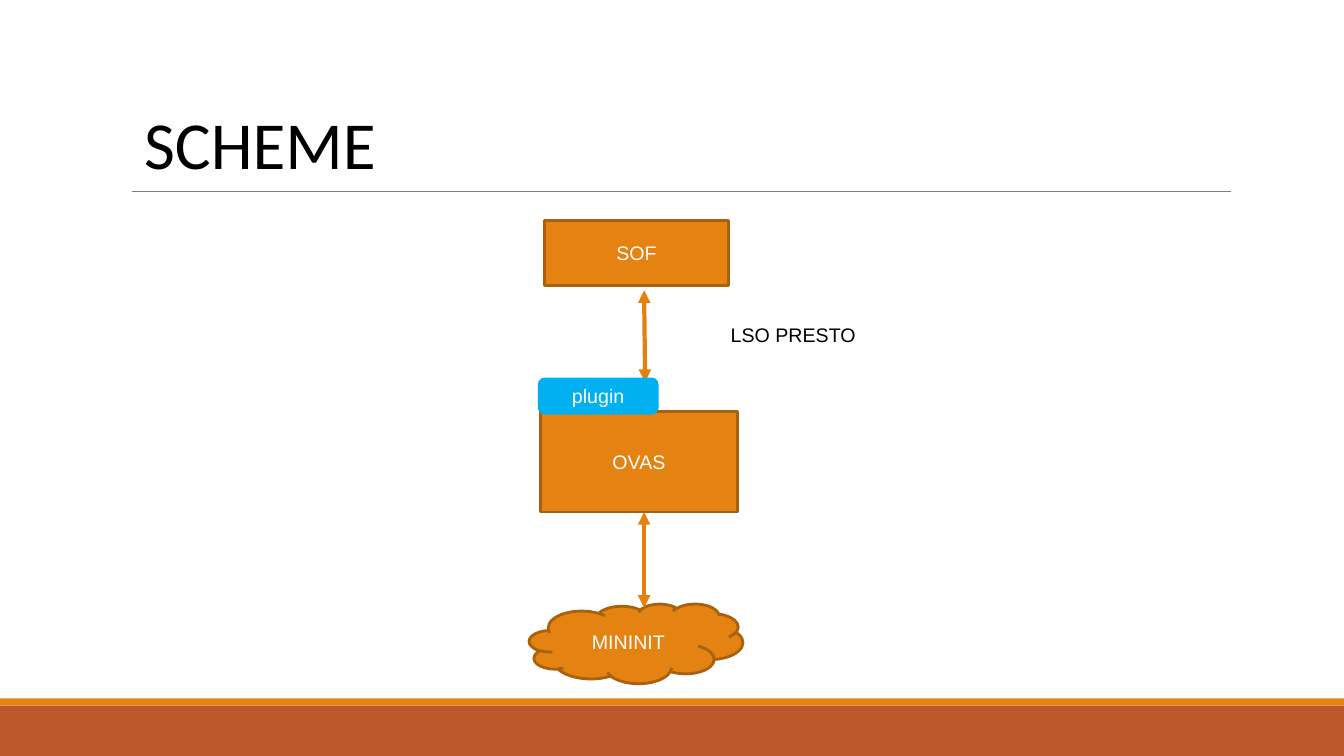
from collections import namedtuple

from lxml.etree import SubElement
from pptx import Presentation
from pptx.dml.color import RGBColor
from pptx.enum.shapes import MSO_CONNECTOR as Connector, MSO_SHAPE as Shape
from pptx.enum.text import MSO_ANCHOR as Anchor, PP_ALIGN as Align
from pptx.oxml.ns import qn
from pptx.util import Inches, Pt

CELL = Inches(0.1)  # the slide is a grid of square cells
COLUMNS, ROWS = 133.33, 75

ORANGE, DARK_ORANGE, ARROW_ORANGE = "E48312", "A9610D", "E4810C"
RUST, BLUE, GREY = "BD582C", "00B0F0", "7F7F7F"
BLACK, WHITE = "000000", "FFFFFF"

Box = namedtuple("Box", "left top width height")


def cells(*lengths):
    return [round(length * CELL) for length in lengths]


def within(box, left, top, width, height):
    """Return a box whose offset is counted from the corner of another box."""
    return Box(box.left + left, box.top + top, width, height)


def color(hex_string):
    return RGBColor.from_string(hex_string)


def write(shape, text, size=14, font="Arial", fill=WHITE, align=Align.CENTER,
          anchor=Anchor.MIDDLE, spacing=None):
    frame = shape.text_frame
    frame.word_wrap = True
    frame.vertical_anchor = anchor
    paragraph = frame.paragraphs[0]
    paragraph.alignment = align
    paragraph.line_spacing = spacing
    run = paragraph.add_run()
    run.text = text
    run.font.size = Pt(size)
    run.font.name = font
    run.font.color.rgb = color(fill)


def add_block(slide, kind, box, fill, outline=None):
    shape = slide.shapes.add_shape(kind, *cells(*box))
    shape.shadow.inherit = False
    shape.fill.solid()
    shape.fill.fore_color.rgb = color(fill)
    if outline:
        shape.line.color.rgb = color(outline)
        shape.line.width = Pt(2)
    else:
        shape.line.fill.background()
    return shape


def add_line(slide, start, end, stroke, width, arrows=False):
    line = slide.shapes.add_connector(Connector.STRAIGHT, *cells(*start, *end))
    line.line.color.rgb = color(stroke)
    line.line.width = Pt(width)
    if arrows:
        outline = line.line._get_or_add_ln()
        for end_name in ("a:headEnd", "a:tailEnd"):
            SubElement(outline, qn(end_name), type="triangle")
    SubElement(line._element.spPr, qn("a:effectLst"))


def add_footer_bars(slide, box):
    stripe = 0.7
    add_block(slide, Shape.RECTANGLE,
              within(box, 0, stripe, box.width, box.height - stripe), RUST)
    add_block(slide, Shape.RECTANGLE, within(box, 0, 0, box.width, stripe), ORANGE)


def add_heading(slide, box, text):
    """Format the title and draw the rule near the bottom of its box."""
    rule = box.top + box.height - 0.2
    add_line(slide, (box.left - 0.2, rule), (box.left + 108.8, rule), GREY, 0.75)
    title = slide.shapes.title
    title.left, title.top, title.width, title.height = cells(*box)
    frame = title.text_frame
    frame.margin_left = frame.margin_right = Inches(0.1)
    frame.margin_top = frame.margin_bottom = Inches(0.1)
    write(title, text, size=48, font="Calibri", fill=BLACK,
          align=Align.LEFT, anchor=Anchor.BOTTOM, spacing=0.85)


def add_scheme(slide, box):
    """Stack the three systems, joined by two-way arrows."""
    axis = box.left + 11.4

    def add_node(text, kind, place, fill=ORANGE, outline=DARK_ORANGE):
        write(add_block(slide, kind, within(box, *place), fill, outline), text)

    def add_arrow(top, bottom, drift=0):
        add_line(slide, (axis, box.top + top), (axis + drift, box.top + bottom),
                 ARROW_ORANGE, 3, arrows=True)

    add_node("SOF", Shape.RECTANGLE, (1.5, 0, 18.3, 6.4))
    add_arrow(6.9, 16, drift=0.1)
    add_node("OVAS", Shape.RECTANGLE, (1.1, 18.9, 19.6, 10))
    add_node("plugin", Shape.ROUNDED_RECTANGLE, (1, 15.7, 11.7, 3.4), BLUE, BLUE)
    label = slide.shapes.add_textbox(*cells(*within(box, 19, 9.6, 18.3, 3.4)))
    write(label, "LSO PRESTO", fill=BLACK, align=Align.LEFT, anchor=Anchor.TOP)
    add_node("MININIT", Shape.CLOUD, (0, 38, 21.2, 7.9))
    add_arrow(28.9, 38.4)


def main():
    presentation = Presentation()
    presentation.slide_width, presentation.slide_height = cells(COLUMNS, ROWS)
    title_only = presentation.slide_layouts[5]
    slide = presentation.slides.add_slide(title_only)
    add_footer_bars(slide, Box(0, ROWS - 5.7, COLUMNS, 5.7))
    add_heading(slide, Box(13.3, 1.5, 110, 17.7), "SCHEME")
    add_scheme(slide, Box(52.5, 21.9, 37.3, 45.9))
    presentation.save("out.pptx")


if __name__ == "__main__":
    main()
